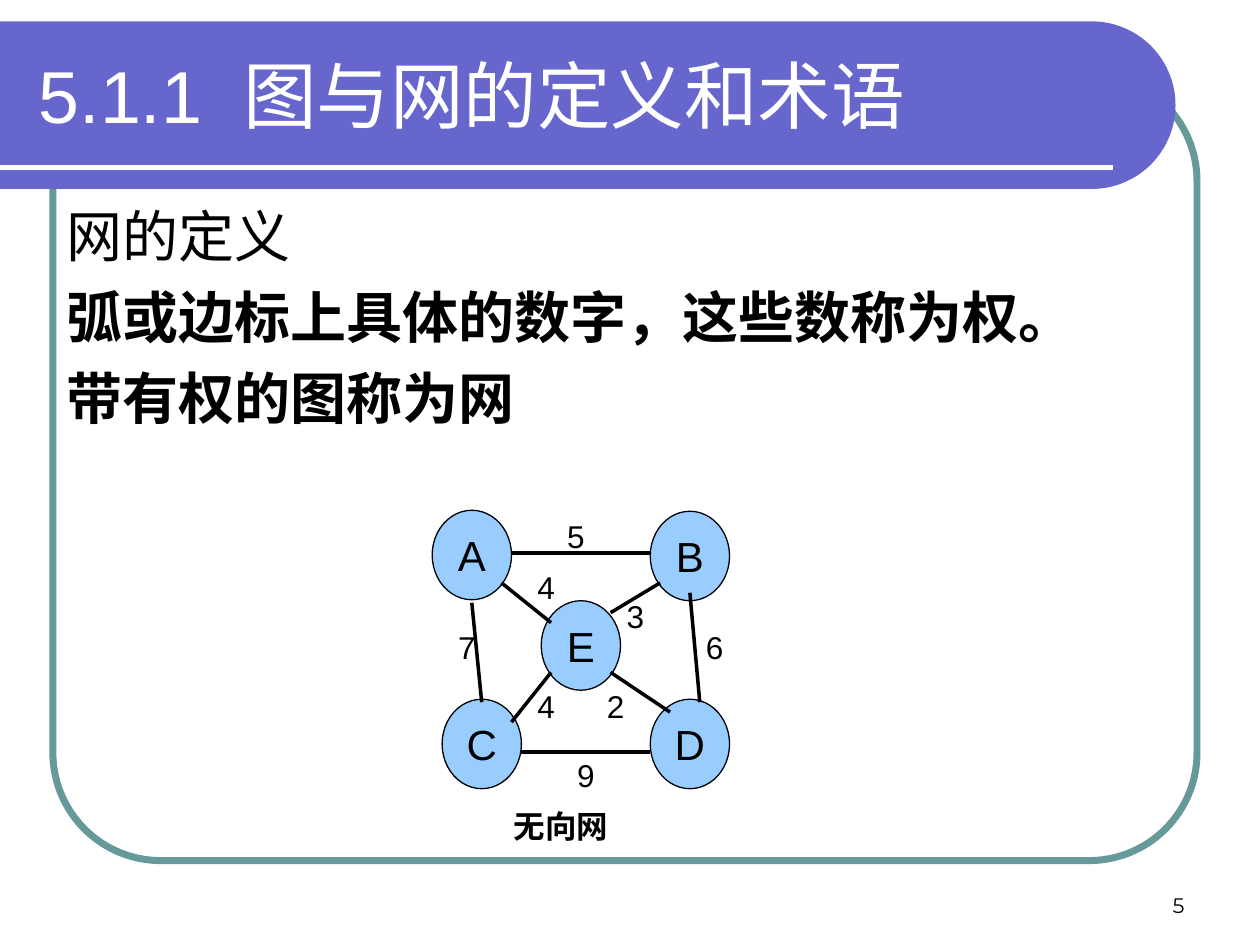
import math

from lxml import etree
from pptx import Presentation
from pptx.dml.color import RGBColor
from pptx.enum.shapes import MSO_CONNECTOR, MSO_SHAPE
from pptx.enum.text import MSO_ANCHOR, PP_ALIGN
from pptx.oxml.ns import qn
from pptx.util import Inches, Pt

LINE = MSO_CONNECTOR.STRAIGHT
OVAL, ROUNDED = MSO_SHAPE.OVAL, MSO_SHAPE.ROUNDED_RECTANGLE
TOP, MIDDLE, BOTTOM = MSO_ANCHOR.TOP, MSO_ANCHOR.MIDDLE, MSO_ANCHOR.BOTTOM
LEFT, CENTER, RIGHT = PP_ALIGN.LEFT, PP_ALIGN.CENTER, PP_ALIGN.RIGHT

BLACK, WHITE = "000000", "FFFFFF"
PURPLE, TEAL, SKY = "6666CC", "669999", "99CCFF"

# Weighted graph on a grid of columns and rows
COLUMNS, ROWS = 30, 28
NODE_SIZE = (8, 9)
LABEL_SIZE = (9, 5)
NODES = [("A", 0, 0), ("D", 22, 19), ("C", 1, 19), ("B", 22, 0.1), ("E", 11, 9.1)]
EDGES = [
    (7, 7.3, 12, 11.3), (18, 16.3, 24, 20.3), (26, 8.3, 27, 19.3), (8, 4.3, 22, 4.3),
    (4, 9.3, 5, 19.3), (9, 24.3, 22, 24.3), (8, 21.3, 12, 16.3), (23, 7.3, 18, 10.3),
]
WEIGHTS = [
    ("5", 10, 0.1), ("6", 24, 11.2), ("7", -1, 11.2), ("4", 7, 5.2),
    ("3", 16, 8.1), ("4", 7, 17.1), ("2", 14, 17.1), ("9", 11, 24.1),
]


def color(value):
    return RGBColor.from_string(value)


def inches(*values):
    return [Inches(value) for value in values]


def set_font(paragraph, size, value=BLACK, bold=False, name="Arial"):
    paragraph.font.name = name
    paragraph.font.size = Pt(size)
    paragraph.font.bold = bold
    paragraph.font.color.rgb = color(value)


def add_text(slide, box, text, size, align=LEFT, anchor=TOP, **font):
    frame = slide.shapes.add_textbox(*inches(*box)).text_frame
    frame.word_wrap = True
    frame.vertical_anchor = anchor
    paragraph = frame.paragraphs[0]
    paragraph.text = text
    paragraph.alignment = align
    set_font(paragraph, size, **font)
    return frame


def add_line(slide, start, end, value, width):
    connector = slide.shapes.add_connector(LINE, *inches(*start, *end))
    connector.line.color.rgb = color(value)
    connector.line.width = Pt(width)
    properties = connector._element.spPr
    etree.SubElement(properties, qn("a:effectLst"))


def add_frame(slide, box):
    shape = slide.shapes.add_shape(ROUNDED, *inches(*box))
    shape.adjustments[0] = 0.137
    shape.shadow.inherit = False
    shape.fill.background()
    shape.line.color.rgb = color(TEAL)
    shape.line.width = Pt(4)


def add_title(slide, box):
    left, top, width, height = box
    radius = height / 2

    # Band with a half-round right end
    arc = []
    for degrees in range(-90, 91, 3):
        angle = math.radians(degrees)
        arc.append((Inches(left + width - radius + radius * math.cos(angle)),
                    Inches(top + radius + radius * math.sin(angle))))
    builder = slide.shapes.build_freeform(*inches(left, top))
    builder.add_line_segments(arc + [tuple(inches(left, top + height))])
    band = builder.convert_to_shape()
    band.shadow.inherit = False
    band.fill.solid()
    band.fill.fore_color.rgb = color(PURPLE)
    band.line.fill.background()

    # Rule and heading
    rule = top + 0.87 * height
    add_line(slide, (left, rule), (left + width - 0.5, rule), WHITE, 3)
    frame = add_text(slide, (left + 0.21, top + 0.08, width - 0.56, 1), "", 42,
                     anchor=MIDDLE, value=WHITE)
    paragraph = frame.paragraphs[0]
    for text in ("5.1.1", " ", "图与网的定义和术语"):
        paragraph.add_run().text = text
    # Widened gap after the section number
    paragraph.runs[1].font._element.set("spc", "1170")


def add_body(slide, box):
    frame = add_text(slide, box, "网的定义", 32)
    for text in ("弧或边标上具体的数字，这些数称为权。", "带有权的图称为网"):
        paragraph = frame.add_paragraph()
        paragraph.text = text
        paragraph.space_before = Pt(8)
        set_font(paragraph, 32, bold=True)


def add_graph(slide, box):
    left, top, width, height = box
    column, row = width / COLUMNS, height / ROWS

    def point(x, y):
        return left + x * column, top + y * row

    def cell(x, y, size):
        return (*point(x, y), size[0] * column, size[1] * row)

    # Nodes
    for name, x, y in NODES:
        node = slide.shapes.add_shape(OVAL, *inches(*cell(x, y, NODE_SIZE)))
        node.shadow.inherit = False
        node.fill.solid()
        node.fill.fore_color.rgb = color(SKY)
        node.line.color.rgb = color(BLACK)
        node.line.width = Pt(0.75)
        frame = node.text_frame
        frame.vertical_anchor = MIDDLE
        paragraph = frame.paragraphs[0]
        paragraph.text = name
        paragraph.alignment = CENTER
        set_font(paragraph, 24)

    # Edges
    for x1, y1, x2, y2 in EDGES:
        add_line(slide, point(x1, y1), point(x2, y2), BLACK, 2)

    # Caption and weights
    add_text(slide, cell(6, 29.2, (14, 5)), "无向网", 18, CENTER, bold=True)
    for weight, x, y in WEIGHTS:
        add_text(slide, cell(x, y, LABEL_SIZE), weight, 18, CENTER)


def main():
    presentation = Presentation()
    presentation.slide_width, presentation.slide_height = inches(10, 7.5)
    slide = presentation.slides.add_slide(presentation.slide_layouts[6])

    add_frame(slide, (0.42, 0.58, 9.08, 6.25))
    add_title(slide, (0, 0.17, 9.33, 1.33))
    add_body(slide, (0.43, 1.55, 8.67, 4.83))
    add_graph(slide, (3.43, 4.05, 2.36, 2.21))
    # Page number
    add_text(slide, (7.17, 6.83, 2.33, 0.5), "5", 12, RIGHT, BOTTOM, name="Montserrat")

    presentation.save("out.pptx")


if __name__ == "__main__":
    main()
